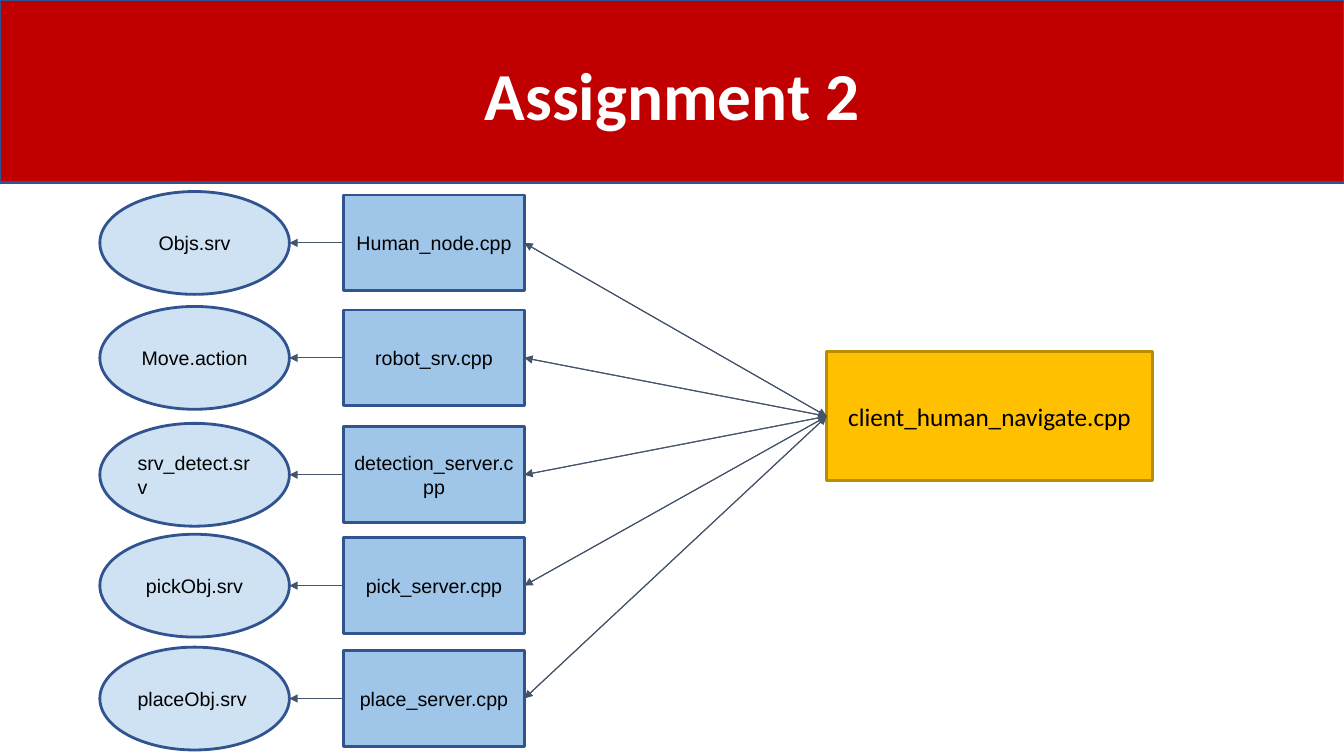
from lxml.etree import SubElement
from pptx import Presentation
from pptx.dml.color import RGBColor
from pptx.enum.shapes import MSO_CONNECTOR, MSO_SHAPE
from pptx.enum.text import MSO_ANCHOR, MSO_AUTO_SIZE, PP_ALIGN
from pptx.oxml.ns import qn
from pptx.util import Inches, Pt

RED = RGBColor(0xC0, 0x00, 0x00)
NAVY = RGBColor(0x31, 0x53, 0x8F)
BLUE = RGBColor(0x9F, 0xC5, 0xE8)
PALE_BLUE = RGBColor(0xCF, 0xE2, 0xF3)
AMBER = RGBColor(0xFF, 0xC0, 0x00)
DARK_AMBER = RGBColor(0xBA, 0x8C, 0x00)
SLATE = RGBColor(0x44, 0x54, 0x6A)
WHITE = RGBColor(0xFF, 0xFF, 0xFF)
BLACK = RGBColor(0x00, 0x00, 0x00)

INTERFACE_LEFT, INTERFACE_WIDTH, INTERFACE_HEIGHT = 0.99, 1.88, 1.02
NODE_LEFT, NODE_WIDTH, NODE_HEIGHT = 3.41, 1.79, 0.95
CLIENT_LEFT, CLIENT_TOP, CLIENT_WIDTH, CLIENT_HEIGHT = 8.2, 3.49, 3.23, 1.28

ROWS = [
    (2.41, "Objs.srv", PP_ALIGN.CENTER, "Human_node.cpp"),
    (3.55, "Move.action", PP_ALIGN.CENTER, "robot_srv.cpp"),
    (4.71, "srv_detect.srv", PP_ALIGN.LEFT, "detection_server.cpp"),
    (5.81, "pickObj.srv", PP_ALIGN.CENTER, "pick_server.cpp"),
    (6.93, "placeObj.srv", PP_ALIGN.LEFT, "place_server.cpp"),
]


def add_block(slide, preset, left, top, width, height, fill, outline):
    block = slide.shapes.add_shape(
        preset, Inches(left), Inches(top), Inches(width), Inches(height))
    block.shadow.inherit = False
    block.fill.solid()
    block.fill.fore_color.rgb = fill
    block.line.color.rgb = outline
    block.line.width = Pt(2)
    return block


def write(shape, text, font, size, color, align=PP_ALIGN.CENTER,
          anchor=MSO_ANCHOR.MIDDLE, inset=0.05, bold=False):
    frame = shape.text_frame
    frame.text = text
    frame.word_wrap = True
    frame.auto_size = MSO_AUTO_SIZE.NONE
    frame.vertical_anchor = anchor
    frame.margin_left = frame.margin_right = Inches(0.1)
    frame.margin_top = frame.margin_bottom = Inches(inset)
    paragraph = frame.paragraphs[0]
    paragraph.alignment = align
    run_font = paragraph.runs[0].font
    run_font.name = font
    run_font.size = Pt(size)
    run_font.bold = bold
    run_font.color.rgb = color


def add_arrow(slide, start, end):
    arrow = slide.shapes.add_connector(
        MSO_CONNECTOR.STRAIGHT, *(Inches(value) for value in start + end))
    arrow.line.color.rgb = SLATE
    arrow.line.width = Pt(0.75)
    SubElement(arrow.line._get_or_add_ln(), qn("a:tailEnd"), type="triangle")
    SubElement(arrow.element.spPr, qn("a:effectLst"))


def add_header(slide):
    band = add_block(slide, MSO_SHAPE.RECTANGLE, 0, 0, 13.33, 1.81, RED, NAVY)
    title = slide.shapes.title
    title.element.addprevious(band.element)
    title.left, title.top = Inches(1.67), Inches(0.26)
    title.width, title.height = Inches(10), Inches(1.13)
    write(title, "Assignment 2", "Calibri", 48, WHITE,
          anchor=MSO_ANCHOR.BOTTOM, bold=True)
    title.text_frame.paragraphs[0].line_spacing = 0.9


def add_row(slide, middle, interface_name, interface_align, node_name):
    node = add_block(slide, MSO_SHAPE.RECTANGLE, NODE_LEFT,
                     middle - NODE_HEIGHT / 2, NODE_WIDTH, NODE_HEIGHT,
                     BLUE, NAVY)
    write(node, node_name, "Arial", 14, BLACK, inset=0.1)
    interface = add_block(slide, MSO_SHAPE.OVAL, INTERFACE_LEFT,
                          middle - INTERFACE_HEIGHT / 2, INTERFACE_WIDTH,
                          INTERFACE_HEIGHT, PALE_BLUE, NAVY)
    write(interface, interface_name, "Arial", 14, BLACK, interface_align,
          inset=0.1)

    node_side = (NODE_LEFT + NODE_WIDTH, middle)
    client_side = (CLIENT_LEFT, CLIENT_TOP + CLIENT_HEIGHT / 2)
    add_arrow(slide, node_side, client_side)
    add_arrow(slide, client_side, node_side)
    add_arrow(slide, (NODE_LEFT, middle),
              (INTERFACE_LEFT + INTERFACE_WIDTH, middle))


def main():
    deck = Presentation()
    deck.slide_width, deck.slide_height = Inches(13.33), Inches(7.5)
    slide = deck.slides.add_slide(deck.slide_layouts[5])
    add_header(slide)
    client = add_block(slide, MSO_SHAPE.RECTANGLE, CLIENT_LEFT, CLIENT_TOP,
                       CLIENT_WIDTH, CLIENT_HEIGHT, AMBER, DARK_AMBER)
    write(client, "client_human_navigate.cpp", "Calibri", 18, BLACK)
    for row in ROWS:
        add_row(slide, *row)
    deck.save("out.pptx")


if __name__ == "__main__":
    main()
